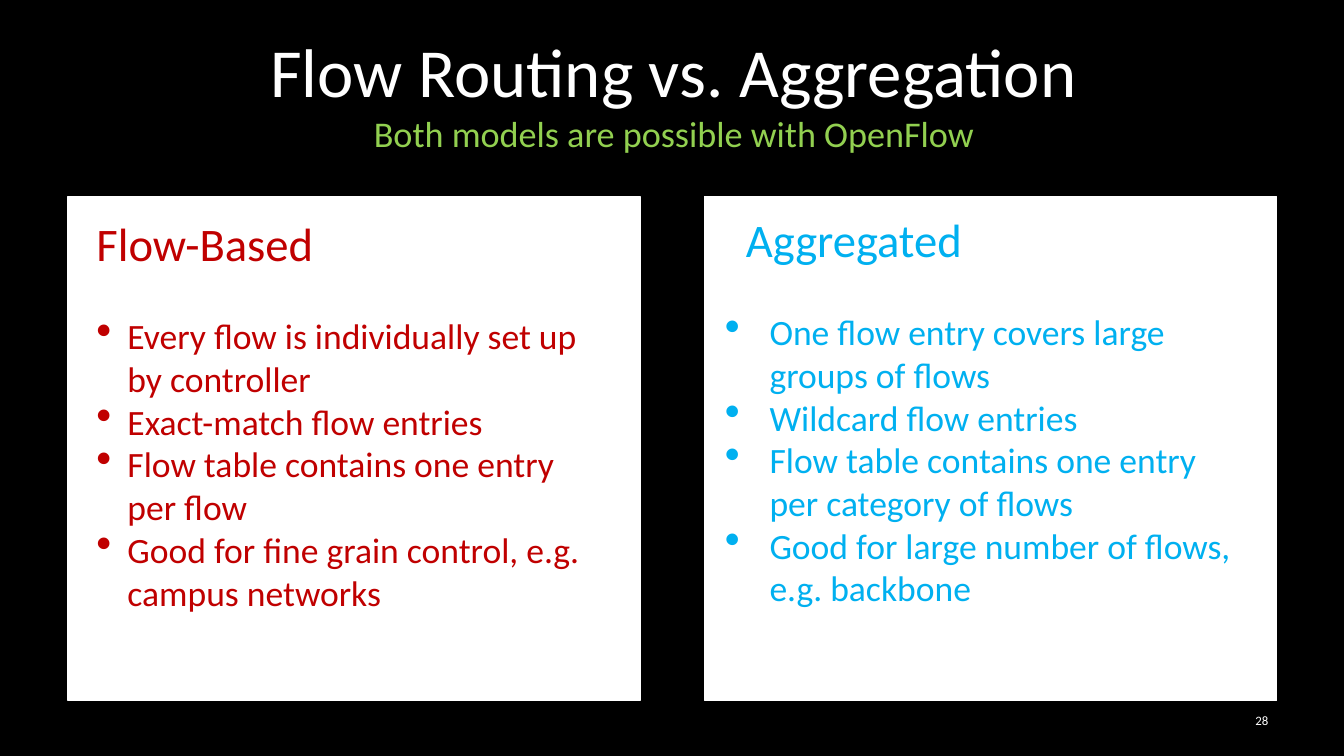
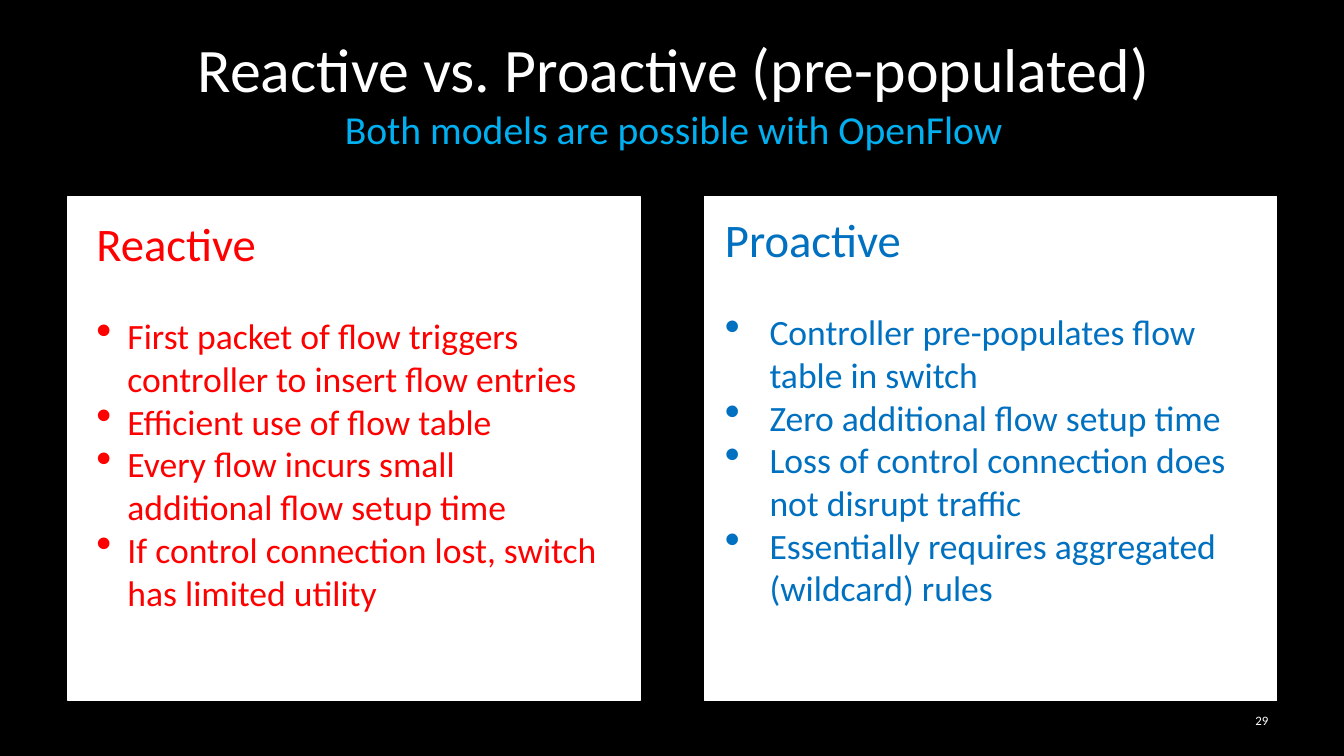
from dataclasses import dataclass

import lxml.etree
import pptx
import pptx.dml.color
import pptx.enum.shapes
import pptx.enum.text
import pptx.oxml.ns
import pptx.slide
import pptx.text.text
import pptx.util

Pt = pptx.util.Pt
RGBColor = pptx.dml.color.RGBColor
Align = pptx.enum.text.PP_ALIGN
Anchor = pptx.enum.text.MSO_ANCHOR

# Shared style
BLACK = RGBColor(0x00, 0x00, 0x00)
WHITE = RGBColor(0xFF, 0xFF, 0xFF)
GREEN = RGBColor(0x92, 0xD0, 0x50)
SKY = RGBColor(0x00, 0xB0, 0xF0)
BLUE = RGBColor(0x00, 0x70, 0xC0)
CRIMSON = RGBColor(0xC0, 0x00, 0x00)
RED = RGBColor(0xFF, 0x00, 0x00)
FONT = "Calibri"
HEAD_SIZE, ITEM_SIZE = 40, 30.5
HEAD_GAP = 37.2  # one line of item text

# Panel grid
PANEL_TOP, PANEL_WIDTH, PANEL_HEIGHT = 168.5, 490.3, 432
TEXT_LEFT, TEXT_TOP, TEXT_WIDTH, TEXT_HEIGHT = 17.3, 12.2, 451.4, 412.6


@dataclass(frozen=True)
class Side:
    left: float
    inset_x: float
    inset_y: float
    hang: float


LEFT = Side(58.3, 7.2, 3.6, 26.6)
RIGHT = Side(604.1, 0, 0, 38.2)


@dataclass(frozen=True)
class Panel:
    side: Side
    head: str
    color: RGBColor
    items: tuple[str, ...]
    head_left: float = 0


@dataclass(frozen=True)
class Page:
    number: int
    title: str
    title_size: float
    sub_size: float
    sub_color: RGBColor
    panels: tuple[Panel, ...]


SUB = "Both models are possible with OpenFlow"
PAGES = (
    Page(28, "Flow Routing vs. Aggregation", 59, 31, GREEN, (
        Panel(LEFT, "Flow-Based", CRIMSON, (
            "Every flow is individually set up by controller",
            "Exact-match flow entries",
            "Flow table contains one entry per flow",
            "Good for fine grain control, e.g. campus networks")),
        Panel(RIGHT, "Aggregated", SKY, (
            "One flow entry covers large groups of flows",
            "Wildcard flow entries",
            "Flow table contains one entry per category of flows",
            "Good for large number of flows, e.g. backbone"), 18))),
    Page(29, "Reactive vs. Proactive (pre-populated)", 53, 34, SKY, (
        Panel(LEFT, "Reactive", RED, (
            "First packet of flow triggers controller to insert flow entries",
            "Efficient use of flow table",
            "Every flow incurs small additional flow setup time",
            "If control connection lost, switch has limited utility")),
        Panel(RIGHT, "Proactive", BLUE, (
            "Controller pre-populates flow table in switch",
            "Zero additional flow setup time",
            "Loss of control connection does not disrupt traffic",
            "Essentially requires aggregated (wildcard) rules")))),
)


def style(run: pptx.text.text._Run, size: float, color: RGBColor) -> None:
    run.font.name = FONT
    run.font.size = Pt(size)
    run.font.color.rgb = color


def indent(line: pptx.text.text._Paragraph, left: float, hang: float = 0) -> None:
    props = line._p.get_or_add_pPr()
    props.set("marL", str(int(Pt(left))))
    props.set("indent", str(-int(Pt(hang))))


def add_dot(line: pptx.text.text._Paragraph) -> None:
    props = line._p.get_or_add_pPr()
    for tag, key, value in (("a:buSzPct", "val", "125000"), ("a:buChar", "char", "•")):
        lxml.etree.SubElement(props, pptx.oxml.ns.qn(tag)).set(key, value)


def add_title(slide: pptx.slide.Slide, page: Page) -> None:
    title = slide.shapes.title
    title.left, title.top, title.width, title.height = Pt(85.7), Pt(20.9), Pt(983.5), Pt(115.2)
    frame = title.text_frame
    frame.auto_size = pptx.enum.text.MSO_AUTO_SIZE.NONE
    frame.vertical_anchor = Anchor.MIDDLE
    frame.text = f"{page.title}\v{SUB}"
    line = frame.paragraphs[0]
    line.alignment = Align.CENTER
    main_run, sub_run = line.runs
    style(main_run, page.title_size, WHITE)
    style(sub_run, page.sub_size, page.sub_color)


def add_panel(slide: pptx.slide.Slide, panel: Panel) -> None:
    side = panel.side
    # White card
    card = slide.shapes.add_shape(
        pptx.enum.shapes.MSO_SHAPE.RECTANGLE,
        Pt(side.left), Pt(PANEL_TOP), Pt(PANEL_WIDTH), Pt(PANEL_HEIGHT))
    card.shadow.inherit = False
    card.fill.solid()
    card.fill.fore_color.rgb = WHITE
    card.line.color.rgb = WHITE
    card.line.width = Pt(1)

    # Heading and bullets
    frame = slide.shapes.add_textbox(
        Pt(side.left + TEXT_LEFT), Pt(PANEL_TOP + TEXT_TOP),
        Pt(TEXT_WIDTH), Pt(TEXT_HEIGHT)).text_frame
    frame.word_wrap = True
    frame.margin_left = frame.margin_right = Pt(side.inset_x)
    frame.margin_top = frame.margin_bottom = Pt(side.inset_y)
    frame.text = "\n".join((panel.head, *panel.items))
    head, *items = frame.paragraphs
    indent(head, panel.head_left)
    head.space_after = Pt(HEAD_GAP)
    style(head.runs[0], HEAD_SIZE, panel.color)
    for item in items:
        indent(item, side.hang, side.hang)
        add_dot(item)
        style(item.runs[0], ITEM_SIZE, panel.color)


def add_number(slide: pptx.slide.Slide, number: int) -> None:
    frame = slide.shapes.add_textbox(Pt(825.8), Pt(600.5), Pt(268.6), Pt(34.6)).text_frame
    frame.word_wrap = True
    frame.vertical_anchor = Anchor.MIDDLE
    frame.text = str(number)
    line = frame.paragraphs[0]
    line.alignment = Align.RIGHT
    style(line.runs[0], 11, WHITE)


def main() -> None:
    deck = pptx.Presentation()
    deck.slide_width, deck.slide_height = Pt(1152), Pt(648)
    back = deck.slide_master.background.fill
    back.solid()
    back.fore_color.rgb = BLACK
    layout = deck.slide_layouts.get_by_name("Title Only")
    for page in PAGES:
        slide = deck.slides.add_slide(layout)
        add_title(slide, page)
        for panel in page.panels:
            add_panel(slide, panel)
        add_number(slide, page.number)
    deck.save("out.pptx")


if __name__ == "__main__":
    main()
